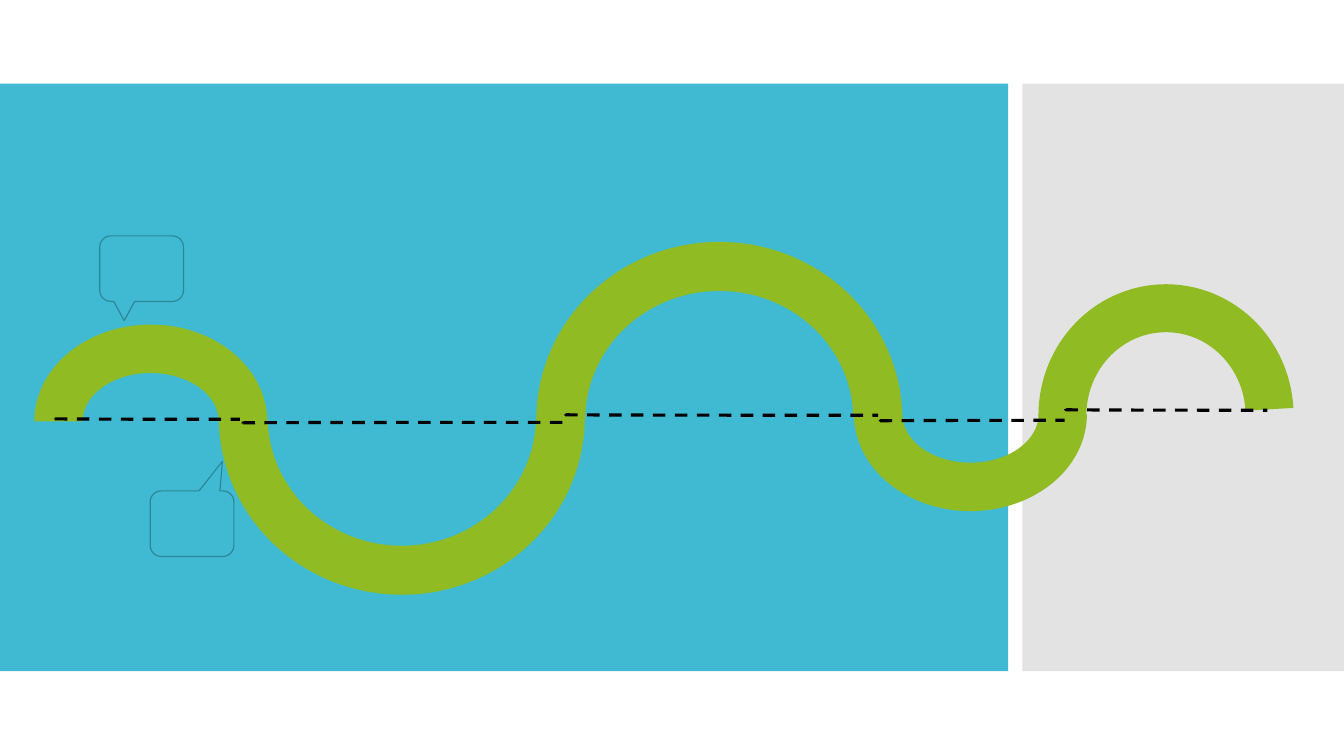
"""Build a slide with a winding road of arcs, two callouts and dashed centre lines."""
from typing import NamedTuple, Optional

from lxml import etree
from pptx import Presentation
from pptx.dml.color import RGBColor
from pptx.enum.dml import MSO_LINE_DASH_STYLE as Dash
from pptx.enum.shapes import MSO_CONNECTOR_TYPE as ConnectorType
from pptx.enum.shapes import MSO_SHAPE as ShapeType
from pptx.oxml.ns import qn
from pptx.slide import Slide
from pptx.util import Inches, Pt

BLUE, GREY, GREEN = "40BAD2", "C8C8C8", "90BB23"
OUTLINE, BLACK = "2E8799", "000000"


class Block(NamedTuple):
    kind: ShapeType
    left: float
    top: float
    width: float
    height: float
    fill: str
    adjustments: tuple[float, ...] = ()
    rotation: float = 0
    outline: Optional[str] = None
    opacity: int = 100


class CentreLine(NamedTuple):
    left: float
    start_y: float
    right: float
    end_y: float


def road_arc(left: float, top: float, width: float, height: float,
             end_angle: float, thickness: float, rotation: float = 0) -> Block:
    """Describe one green half ring of the road."""
    return Block(ShapeType.BLOCK_ARC, left, top, width, height, GREEN,
                 (108, end_angle, thickness), rotation)


def callout(left: float, top: float, tip_x: float, tip_y: float) -> Block:
    """Describe one speech bubble with its tip offset from the centre."""
    return Block(ShapeType.ROUNDED_RECTANGULAR_CALLOUT, left, top, 0.83, 0.65,
                 BLUE, (tip_x, tip_y, 0.167), outline=OUTLINE)


BLOCKS = [
    Block(ShapeType.RECTANGLE, 0, 0.83, 10, 5.83, BLUE),
    Block(ShapeType.RECTANGLE, 10.14, 0.83, 3.19, 5.83, GREY, opacity=50),
    road_arc(0.34, 3.22, 2.31, 1.92, 0, 0.25),
    road_arc(2.17, 2.38, 3.63, 3.52, 215.294, 0.138, 180),
    road_arc(5.32, 2.4, 3.63, 3.52, 215.294, 0.138),
    road_arc(8.47, 3.15, 2.31, 1.92, 0, 0.25, 180),
    road_arc(10.3, 2.82, 2.53, 2.6, 214.017, 0.188),
    callout(0.99, 2.34, -0.208, 0.794),
    callout(1.49, 4.87, 0.363, -0.952),
]

CENTRE_LINES = [
    CentreLine(0.55, 4.15, 2.38, 4.16),
    CentreLine(5.61, 4.11, 8.71, 4.12),
    CentreLine(2.41, 4.2, 5.61, 4.19),
    CentreLine(8.73, 4.18, 10.56, 4.17),
    CentreLine(10.57, 4.06, 12.57, 4.07),
]


def colour(value: str) -> RGBColor:
    """Turn a hex string into a colour."""
    return RGBColor.from_string(value)


def draw_block(slide: Slide, block: Block) -> None:
    """Draw one filled preset shape."""
    shape = slide.shapes.add_shape(
        block.kind, Inches(block.left), Inches(block.top),
        Inches(block.width), Inches(block.height))
    shape.shadow.inherit = False
    shape.rotation = block.rotation
    for index, value in enumerate(block.adjustments):
        shape.adjustments[index] = value
    shape.fill.solid()
    shape.fill.fore_color.rgb = colour(block.fill)
    if block.opacity < 100:
        fill_colour = shape.fill._xPr.find(f"{qn('a:solidFill')}/{qn('a:srgbClr')}")
        etree.SubElement(fill_colour, qn("a:alpha"), val=str(block.opacity * 1000))
    if block.outline:
        shape.line.color.rgb = colour(block.outline)
        shape.line.width = Pt(0.85)
    else:
        shape.line.fill.background()


def draw_centre_line(slide: Slide, line: CentreLine) -> None:
    """Draw one dashed curved connector that bends at its start."""
    connector = slide.shapes.add_connector(
        ConnectorType.CURVE, Inches(line.left), Inches(line.start_y),
        Inches(line.right), Inches(line.end_y))
    connector.line.color.rgb = colour(BLACK)
    connector.line.width = Pt(2.25)
    connector.line.dash_style = Dash.DASH
    properties = connector._element.spPr
    geometry = properties.find(qn("a:prstGeom"))
    guides = geometry.find(qn("a:avLst"))
    if guides is None:
        guides = etree.SubElement(geometry, qn("a:avLst"))
    etree.SubElement(guides, qn("a:gd"), name="adj1", fmla="val 0")
    etree.SubElement(properties, qn("a:effectLst"))


def main() -> None:
    """Build and save the presentation."""
    presentation = Presentation()
    presentation.slide_width = Inches(13.33)
    presentation.slide_height = Inches(7.5)
    slide = presentation.slides.add_slide(presentation.slide_layouts[6])
    for block in BLOCKS:
        draw_block(slide, block)
    for line in CENTRE_LINES:
        draw_centre_line(slide, line)
    presentation.save("out.pptx")


if __name__ == "__main__":
    main()
